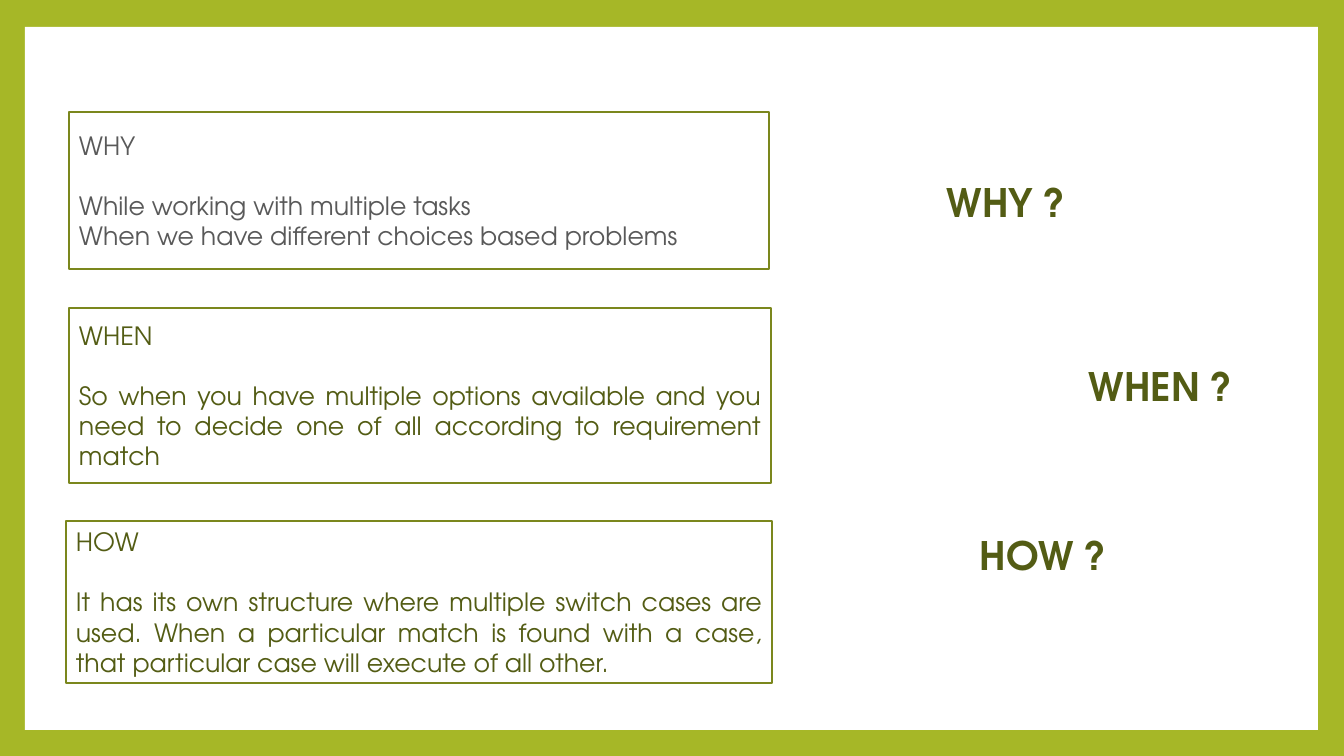
"""Build the slide on why, when and how to use a switch."""
from dataclasses import dataclass

from pptx import Presentation
from pptx.dml.color import RGBColor
from pptx.enum.shapes import MSO_SHAPE
from pptx.enum.text import MSO_ANCHOR, PP_ALIGN
from pptx.shapes.autoshape import Shape
from pptx.slide import Slide
from pptx.util import Emu, Pt

RECT = MSO_SHAPE.RECTANGLE
LEFT, JUST = PP_ALIGN.LEFT, PP_ALIGN.JUSTIFY
TOP, MIDDLE = MSO_ANCHOR.TOP, MSO_ANCHOR.MIDDLE
SCALE = 914400 / 100.8


@dataclass(frozen=True)
class Theme:
    font: str = "TeX Gyre Adventor"
    lime: str = "A6B727"
    white: str = "FFFFFF"
    olive: str = "535C14"
    edge: str = "7B871D"
    grey: str = "595959"
    body: int = 18
    title: int = 28
    line: float = 1.5


@dataclass(frozen=True)
class Box:
    x: int
    y: int
    w: int
    h: int


@dataclass(frozen=True)
class Para:
    text: str
    before: int = 0
    indent: int = 0


@dataclass(frozen=True)
class Card:
    box: Box
    color: str
    align: PP_ALIGN
    paras: tuple[Para, ...]


THEME = Theme()
GAP = 30
PANEL = Box(25, 27, 1293, 703)
ASK = Box(937, 173, 347, 244)
ASKS = (
    Para("WHY ?"),
    Para("WHEN ?", before=137, indent=142),
    Para("HOW ?", before=122, indent=33),
)
CARDS = (
    Card(Box(69, 112, 700, 157), THEME.grey, LEFT, (
        Para("WHY"),
        Para("While working with multiple tasks", GAP),
        Para("When we have different choices based problems"),
    )),
    Card(Box(69, 308, 702, 175), THEME.olive, JUST, (
        Para("WHEN"),
        Para("So when you have multiple options available and you need to "
             "decide one of all according to requirement match", GAP),
    )),
    Card(Box(66, 521, 706, 162), THEME.olive, JUST, (
        Para("HOW"),
        Para("It has its own structure where multiple switch cases are used. "
             "When a particular match is found with a case, that particular "
             "case will execute of all other.", GAP),
    )),
)


def px(n: int) -> Emu:
    return Emu(round(n * SCALE))


def place(box: Box) -> tuple[Emu, Emu, Emu, Emu]:
    return px(box.x), px(box.y), px(box.w), px(box.h)


def add_rect(slide: Slide, box: Box) -> Shape:
    shape = slide.shapes.add_shape(RECT, *place(box))
    shape.shadow.inherit = False
    return shape


def write(shape: Shape, paras: tuple[Para, ...], color: str, size: int,
          align: PP_ALIGN, anchor: MSO_ANCHOR, bold: bool = False) -> None:
    frame = shape.text_frame
    frame.word_wrap = True
    frame.vertical_anchor = anchor
    for i, item in enumerate(paras):
        para = frame.add_paragraph() if i else frame.paragraphs[0]
        para.alignment = align
        para.space_before = px(item.before)
        if item.indent:
            para._p.get_or_add_pPr().set("marL", str(px(item.indent)))
        run = para.add_run()
        run.text = item.text
        run.font.name = THEME.font
        run.font.size = Pt(size)
        run.font.bold = bold
        run.font.color.rgb = RGBColor.from_string(color)


def add_panel(slide: Slide) -> None:
    panel = add_rect(slide, PANEL)
    panel.fill.solid()
    panel.fill.fore_color.rgb = RGBColor.from_string(THEME.white)
    panel.line.fill.background()


def add_card(slide: Slide, card: Card) -> None:
    shape = add_rect(slide, card.box)
    shape.fill.background()
    shape.line.color.rgb = RGBColor.from_string(THEME.edge)
    shape.line.width = Pt(THEME.line)
    write(shape, card.paras, card.color, THEME.body, card.align, MIDDLE)


def main() -> None:
    deck = Presentation()
    deck.slide_width, deck.slide_height = px(1344), px(756)
    slide = deck.slides.add_slide(deck.slide_layouts[6])
    fill = slide.background.fill
    fill.solid()
    fill.fore_color.rgb = RGBColor.from_string(THEME.lime)
    add_panel(slide)
    asks = slide.shapes.add_textbox(*place(ASK))
    write(asks, ASKS, THEME.olive, THEME.title, LEFT, TOP, bold=True)
    for card in CARDS:
        add_card(slide, card)
    deck.save("out.pptx")


if __name__ == "__main__":
    main()
